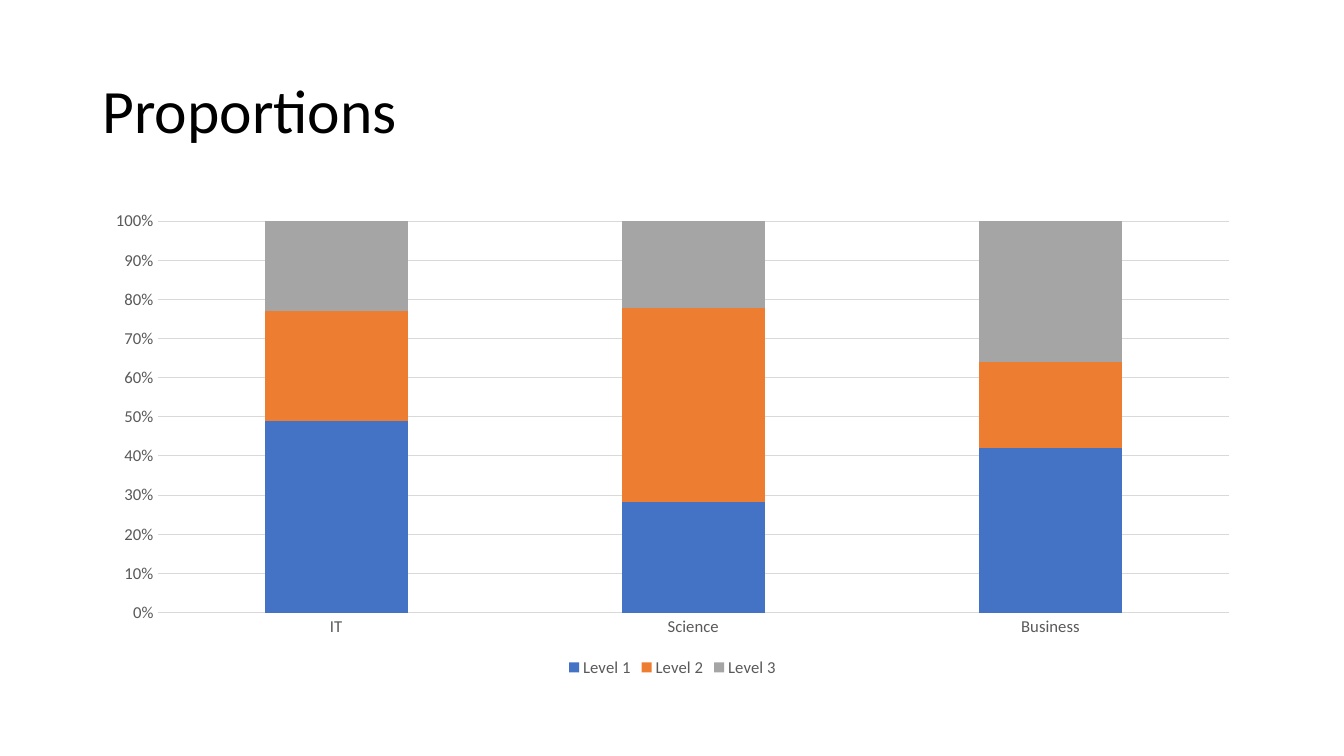
from pptx import Presentation
from pptx.chart.data import CategoryChartData
from pptx.dml.color import RGBColor
from pptx.enum.chart import XL_CHART_TYPE, XL_LEGEND_POSITION, XL_TICK_MARK
from pptx.enum.text import MSO_ANCHOR
from pptx.util import Inches, Pt

TITLE = "Proportions"
SUBJECTS = ["IT", "Science", "Business"]
LEVELS = [
    ("Level 1", (49, 28, 42), "4472C4"),
    ("Level 2", (28, 49, 22), "ED7D31"),
    ("Level 3", (23, 22, 36), "A5A5A5"),
]
FONT = "Calibri"
LABEL_COLOR = "595959"
LINE_COLOR = "D9D9D9"
LEFT, WIDTH = Inches(0.92), Inches(11.5)


def color(hex_string):
    return RGBColor.from_string(hex_string)


def style_font(font, size, hex_string):
    font.name = FONT
    font.size = Pt(size)
    font.color.rgb = color(hex_string)


def style_line(line):
    line.color.rgb = color(LINE_COLOR)
    line.width = Pt(0.75)


def add_title(slide):
    box = slide.shapes.add_textbox(LEFT, Inches(0.4), WIDTH, Inches(1.45))
    frame = box.text_frame
    frame.word_wrap = True
    frame.vertical_anchor = MSO_ANCHOR.MIDDLE
    paragraph = frame.paragraphs[0]
    paragraph.text = TITLE
    paragraph.line_spacing = 0.9
    style_font(paragraph.font, 44, "000000")


def add_level_chart(slide):
    data = CategoryChartData()
    data.categories = SUBJECTS
    for name, values, _ in LEVELS:
        data.add_series(name, values)
    chart = slide.shapes.add_chart(
        XL_CHART_TYPE.COLUMN_STACKED_100, LEFT, Inches(2), WIDTH, Inches(4.76), data
    ).chart
    chart.has_title = False
    style_font(chart.font, 10, "000000")

    plot = chart.plots[0]
    plot.gap_width = 150
    plot.overlap = 100
    plot.vary_by_categories = False
    for series, (_, _, fill_color) in zip(plot.series, LEVELS):
        series.format.fill.solid()
        series.format.fill.fore_color.rgb = color(fill_color)

    for axis in (chart.category_axis, chart.value_axis):
        axis.major_tick_mark = XL_TICK_MARK.NONE
        axis.minor_tick_mark = XL_TICK_MARK.NONE
        style_font(axis.tick_labels.font, 11.9, LABEL_COLOR)
    style_line(chart.category_axis.format.line)

    value_axis = chart.value_axis
    value_axis.format.line.fill.background()
    value_axis.has_major_gridlines = True
    style_line(value_axis.major_gridlines.format.line)
    value_axis.tick_labels.number_format = "0%"
    value_axis.tick_labels.number_format_is_linked = False

    chart.has_legend = True
    chart.legend.position = XL_LEGEND_POSITION.BOTTOM
    chart.legend.include_in_layout = False
    style_font(chart.legend.font, 11.9, LABEL_COLOR)


def main():
    presentation = Presentation()
    presentation.slide_width = Inches(13.33)
    presentation.slide_height = Inches(7.5)
    slide = presentation.slides.add_slide(presentation.slide_layouts[6])
    add_title(slide)
    add_level_chart(slide)
    presentation.save("out.pptx")


if __name__ == "__main__":
    main()
